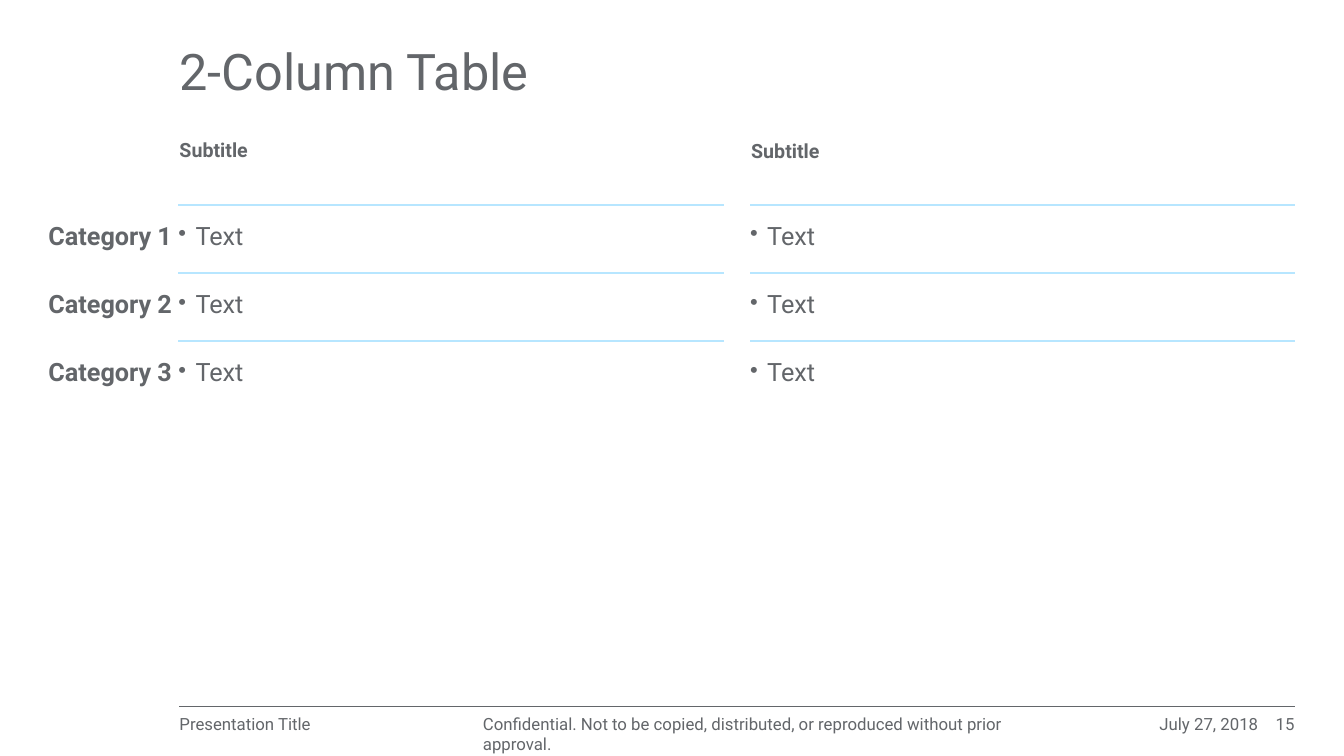
from lxml import etree
from pptx import Presentation
from pptx import util as u
from pptx.dml.color import RGBColor
from pptx.enum import shapes, text
from pptx.oxml import ns

COLORS = {"ink": "63666A", "rule": "B7E6FF"}
FONT = "Roboto"
INSETS = ("margin_left", "margin_top", "margin_right", "margin_bottom")


def sub(parent, tag, **attributes):
    return etree.SubElement(parent, ns.qn(tag), attributes)


class SlideBuilder:
    def __init__(self, slide):
        self.slide = slide

    def add_text(self, frame, wording, size, bold=False, **paragraph_format):
        paragraph = frame.paragraphs[0]
        for key, value in paragraph_format.items():
            setattr(paragraph, key, value)
        run = paragraph.add_run()
        run.text = wording
        for key, value in {"name": FONT, "size": u.Pt(size), "bold": bold}.items():
            setattr(run.font, key, value)
        run.font.color.rgb = RGBColor.from_string(COLORS["ink"])
        return paragraph

    def frame(self, shape, anchor):
        settings = dict.fromkeys(INSETS, 0)
        settings.update(word_wrap=True, vertical_anchor=anchor,
                        auto_size=text.MSO_AUTO_SIZE.NONE)
        for key, value in settings.items():
            setattr(shape.text_frame, key, value)
        return shape.text_frame

    def placeholder(self, index, box, wording, size, anchor, **style):
        shape = self.slide.placeholders[index]
        for key, value in zip(("left", "top", "width", "height"), box):
            setattr(shape, key, u.Inches(value))
        self.add_text(self.frame(shape, anchor), wording, size, **style)

    def footer(self, left, width, wording, align=text.PP_ALIGN.LEFT):
        box = self.slide.shapes.add_textbox(
            *map(u.Inches, (left, 7.08, width, 0.2)))
        self.add_text(self.frame(box, text.MSO_ANCHOR.TOP), wording, 12, alignment=align)

    def line(self, left, right, y, width):
        rule = self.slide.shapes.add_connector(
            shapes.MSO_CONNECTOR.STRAIGHT, *map(u.Inches, (left, y, right, y)))
        rule.line.color.rgb = RGBColor.from_string(COLORS["ink"])
        rule.line.width = u.Pt(width)
        sub(rule._element.spPr, "a:effectLst")

    def borders(self, cell, ruled):
        properties = cell._tc.get_or_add_tcPr()
        for side in "LRTB":
            if side in ruled:
                border = sub(properties, f"a:ln{side}", w=str(u.Pt(1.5)))
                sub(sub(border, "a:solidFill"), "a:srgbClr", val=COLORS["rule"])
            else:
                sub(sub(properties, f"a:ln{side}", w="0"), "a:noFill")

    def bullet(self, paragraph):
        properties = paragraph._p.get_or_add_pPr()
        indent = u.Inches(0.17)
        properties.set("marL", str(indent))
        properties.set("indent", str(-indent))
        sub(properties, "a:buSzPct", val="91000")
        sub(properties, "a:buChar", char="•")

    def table(self, left, top, widths, row_height, rows):
        table = self.slide.shapes.add_table(
            len(rows), len(widths),
            *map(u.Inches, (left, top, sum(widths), row_height * len(rows)))).table
        table.first_row = table.horz_banding = False
        for column, width in zip(table.columns, widths):
            column.width = u.Inches(width)
        for r, row in enumerate(rows):
            table.rows[r].height = u.Inches(row_height)
            for c, wording in enumerate(row):
                cell = table.cell(r, c)
                for key, value in zip(INSETS, (0, 0.17, 0, 0.2)):
                    setattr(cell, key, u.Inches(value))
                is_entry = bool(wording) and c > 0
                ruled = ("T" if r == len(rows) - 1 else "TB") if is_entry else ""
                self.borders(cell, ruled)
                cell.fill.background()
                if wording:
                    paragraph = self.add_text(cell.text_frame, wording, 18, bold=c == 0)
                    if is_entry:
                        self.bullet(paragraph)


def main():
    deck = Presentation()
    deck.slide_width, deck.slide_height = u.Inches(13.33), u.Inches(7.5)
    slide = deck.slides.add_slide(deck.slide_layouts.get_by_name("Comparison"))
    builder = SlideBuilder(slide)

    # Title and column subtitles
    builder.placeholder(0, (1.78, 0.24, 9.84, 1), "2-Column Table", 36,
                        text.MSO_ANCHOR.MIDDLE, line_spacing=0.9,
                        alignment=text.PP_ALIGN.LEFT)
    for index, left, spacing, before in ((1, 1.78, 0.99, 14), (3, 7.45, 0.9, 0)):
        builder.placeholder(index, (left, 1.24, 5.4, 0.37), "Subtitle", 14,
                            text.MSO_ANCHOR.BOTTOM, bold=True,
                            line_spacing=spacing, space_before=u.Pt(before))
    for index in (2, 4):
        unused = slide.placeholders[index]._element
        unused.getparent().remove(unused)

    # Category table, with a narrow gap between the two columns
    builder.table(0.48, 2.03, (1.29, 5.41, 0.26, 5.4), 0.66,
                  [(f"Category {n}", "Text", "", "Text") for n in range(1, 4)])

    # Footer
    builder.line(1.78, 12.84, 7.01, 0.25)
    builder.footer(1.78, 2.94, "Presentation Title")
    builder.footer(4.79, 5.64, "Confidential. Not to be copied, distributed, "
                               "or reproduced without prior approval.")
    builder.footer(10.43, 2.05, "July 27, 2018", text.PP_ALIGN.RIGHT)
    builder.footer(12.48, 0.36, "15", text.PP_ALIGN.RIGHT)

    deck.save("out.pptx")


if __name__ == "__main__":
    main()
